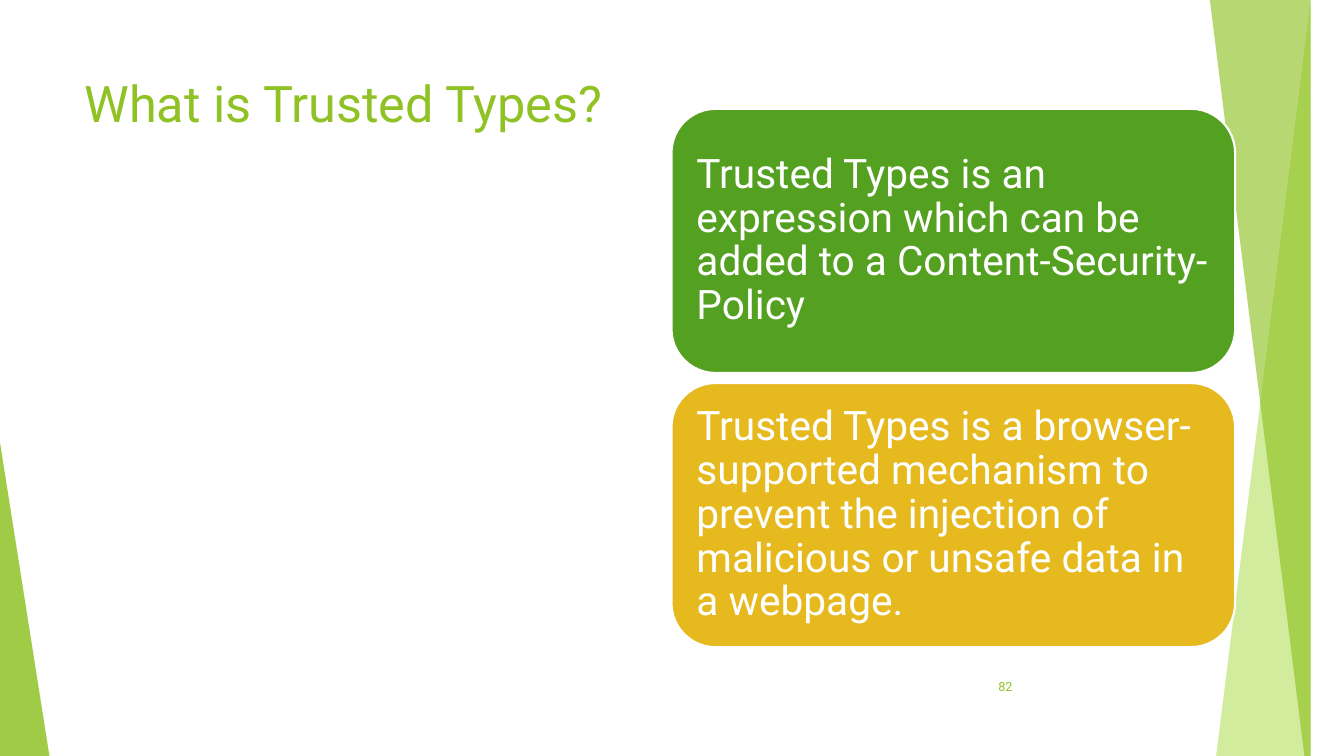
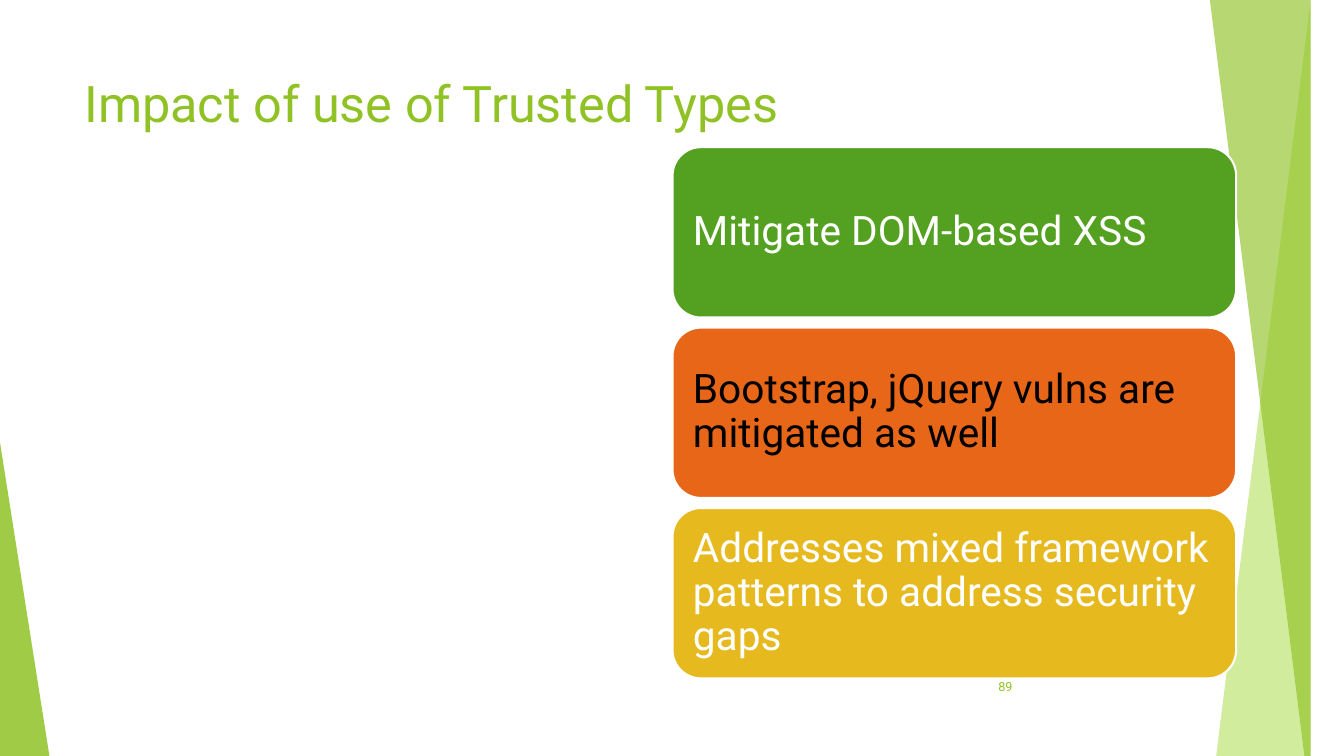
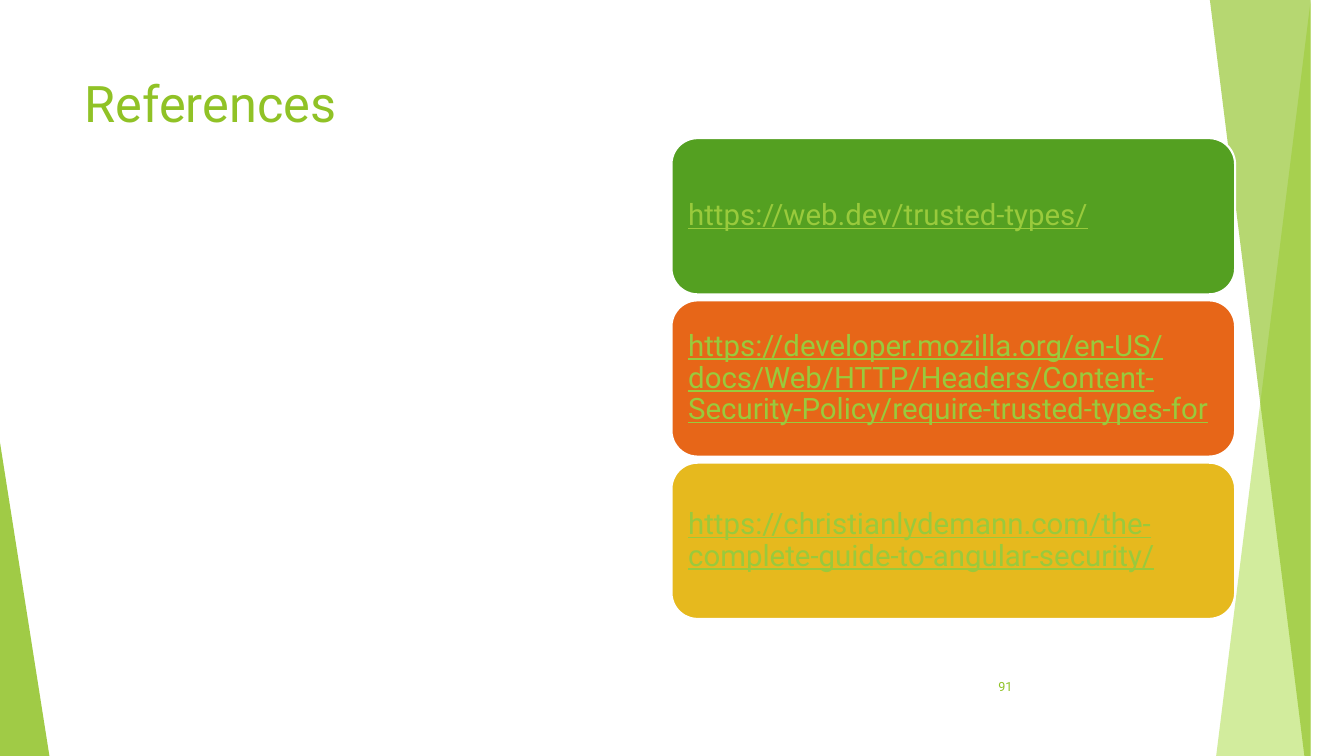
from lxml.etree import SubElement
from pptx import Presentation
from pptx.dml.color import RGBColor
from pptx.enum.shapes import MSO_SHAPE as Preset
from pptx.enum.text import MSO_ANCHOR as Anchor, PP_ALIGN as Align
from pptx.oxml.ns import qn
from pptx.util import Inches, Pt

FONT = "Roboto"
LIME = RGBColor(0x90, 0xC2, 0x26)
PALE_LIME = RGBColor(0xC0, 0xE4, 0x74)
LINK = RGBColor(0x99, 0xCA, 0x3C)
GREEN = RGBColor(0x54, 0xA0, 0x21)
ORANGE = RGBColor(0xE7, 0x66, 0x18)
GOLD = RGBColor(0xE6, 0xB9, 0x1E)
WHITE = RGBColor(0xFF, 0xFF, 0xFF)
BLACK = RGBColor(0, 0, 0)

WIDTH, HEIGHT = 13.33, 7.5
CARD_WIDTH = 5.59

# Outline, colour and opacity in percent
BANDS = [
    ([(13.03, 0), (WIDTH, 0), (WIDTH, HEIGHT), (11.92, HEIGHT)], PALE_LIME, 70),
    ([(11.96, 0), (WIDTH, 0), (WIDTH, HEIGHT), (13.18, HEIGHT)], LIME, 65),
]

# Each card: text, fill, text colour
SLIDES = [
    dict(
        title="What is Trusted Types?", number="82",
        left=6.66, top=1.08, card_height=2.62, gap=0.1,
        size=29, inset=0.12, underline=False,
        cards=[
            ("Trusted Types is an expression which can be added to a "
             "Content-Security-Policy", GREEN, WHITE),
            ("Trusted Types is a browser-supported mechanism to prevent the "
             "injection of malicious or unsafe data in a webpage.", GOLD, WHITE),
        ],
    ),
    dict(
        title="Impact of use of Trusted Types", number="89",
        left=6.67, top=1.46, card_height=1.69, gap=0.1,
        size=29, inset=0.12, underline=False,
        cards=[
            ("Mitigate DOM-based XSS", GREEN, WHITE),
            ("Bootstrap, jQuery vulns are mitigated as well", ORANGE, BLACK),
            ("Addresses mixed framework patterns to address security gaps",
             GOLD, WHITE),
        ],
    ),
    dict(
        title="References", number="91",
        left=6.66, top=1.37, card_height=1.55, gap=0.06,
        size=21, inset=0.09, underline=True,
        cards=[
            ("https://web.dev/trusted-types/", GREEN, LINK),
            ("https://developer.mozilla.org/en-US/docs/Web/HTTP/Headers/"
             "Content-Security-Policy/require-trusted-types-for", ORANGE, LINK),
            ("https://christianlydemann.com/the-complete-guide-to-angular-security/",
             GOLD, LINK),
        ],
    ),
]


def fill_shape(shape, color, opacity=100):
    shape.shadow.inherit = False
    shape.line.fill.background()
    shape.fill.solid()
    shape.fill.fore_color.rgb = color
    if opacity < 100:
        rgb = shape.fill._xPr.find(qn("a:solidFill"))[0]
        SubElement(rgb, qn("a:alpha")).set("val", str(opacity * 1000))


def write(shape, text, size, color, anchor=Anchor.TOP, align=Align.LEFT):
    """Put one paragraph into the shape and return it."""
    frame = shape.text_frame
    frame.word_wrap = True
    frame.vertical_anchor = anchor
    frame.text = text
    paragraph = frame.paragraphs[0]
    paragraph.alignment = align
    font = paragraph.runs[0].font
    font.name, font.size, font.color.rgb = FONT, Pt(size), color
    return paragraph


def add_bands(slide):
    for (start, *others), color, opacity in BANDS:
        builder = slide.shapes.build_freeform(*start, scale=Inches(1))
        builder.add_line_segments(others, close=True)
        fill_shape(builder.convert_to_shape(), color, opacity)
    corner = slide.shapes.add_shape(
        Preset.ISOSCELES_TRIANGLE, 0, Inches(4.39), Inches(0.49), Inches(3.11))
    corner.adjustments[0] = 0
    fill_shape(corner, LIME, 85)


def add_cards(slide, content):
    pitch = content["card_height"] + content["gap"]
    for row, (text, fill, color) in enumerate(content["cards"]):
        card = slide.shapes.add_shape(
            Preset.ROUNDED_RECTANGLE,
            Inches(content["left"]), Inches(content["top"] + row * pitch),
            Inches(CARD_WIDTH), Inches(content["card_height"]))
        fill_shape(card, fill)
        card.line.color.rgb = WHITE
        card.line.width = Pt(1.5)
        frame = card.text_frame
        frame.margin_left = frame.margin_right = Inches(content["inset"])
        frame.margin_top = frame.margin_bottom = Inches(content["inset"])
        paragraph = write(card, text, content["size"], color, Anchor.MIDDLE)
        paragraph.line_spacing = 0.9
        if content["underline"]:
            paragraph.runs[0].font.underline = True


def add_title_and_number(slide, title, number):
    title_box = slide.shapes.add_textbox(
        Inches(0.74), Inches(0.67), Inches(9.4), Inches(1.44))
    write(title_box, title, 36, LIME)
    number_box = slide.shapes.add_textbox(
        Inches(9.39), Inches(6.61), Inches(0.75), Inches(0.4))
    write(number_box, number, 9, LIME, Anchor.MIDDLE, Align.RIGHT)


def main():
    deck = Presentation()
    deck.slide_width, deck.slide_height = Inches(WIDTH), Inches(HEIGHT)
    blank = deck.slide_layouts[6]
    for content in SLIDES:
        slide = deck.slides.add_slide(blank)
        add_bands(slide)
        add_cards(slide, content)
        add_title_and_number(slide, content["title"], content["number"])
    deck.save("out.pptx")


if __name__ == "__main__":
    main()
